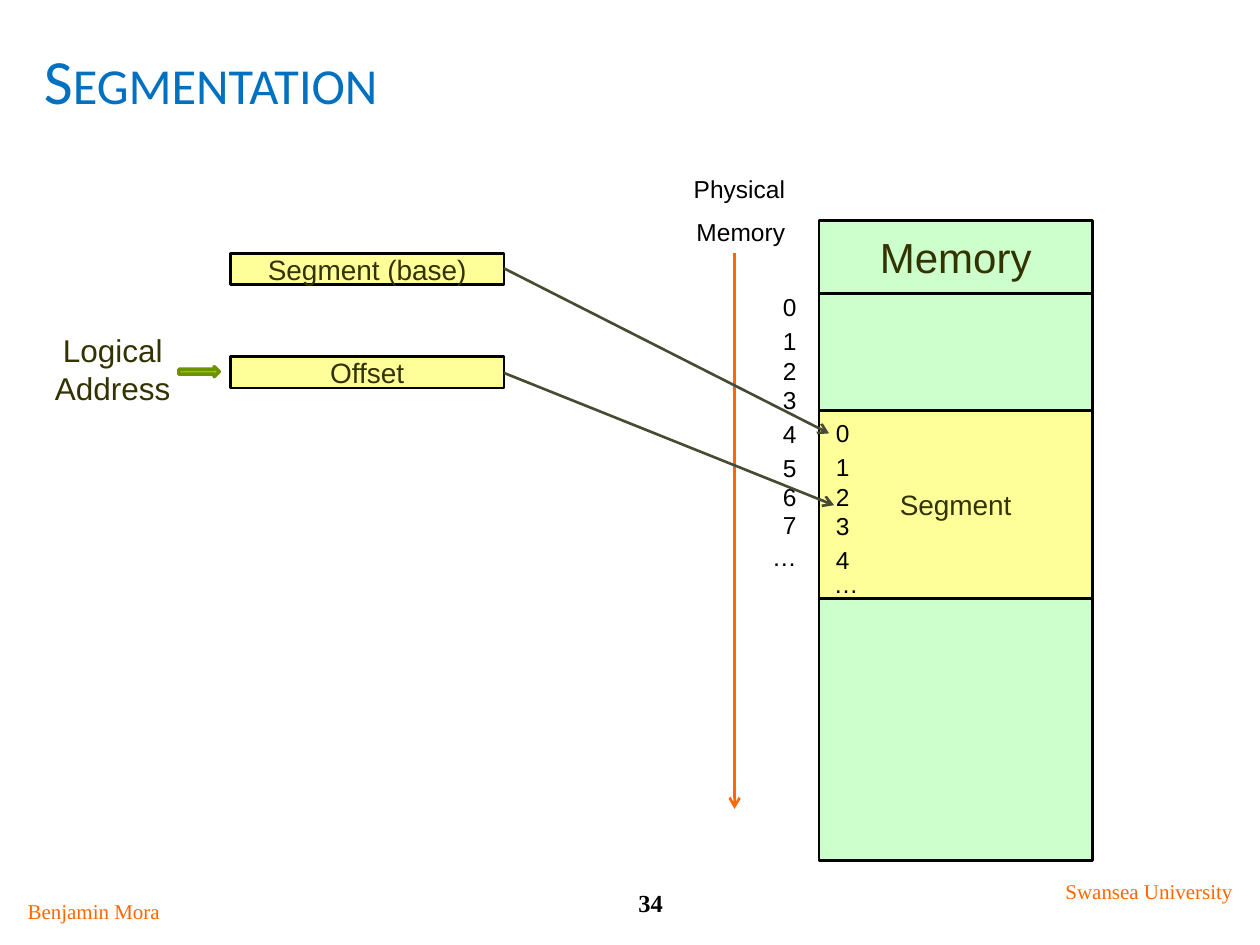
from lxml import etree
from pptx import Presentation
from pptx import util as u
from pptx.dml import color
from pptx.enum import shapes, text
from pptx.oxml import ns

STEPS = [0, 0.27, 0.51, 0.74, 1.01, 1.28, 1.51, 1.73, 1.98]
INK, GREEN, YELLOW, ORANGE = "333300", "CCFFCC", "FFFF99", "FF6600"
LEFT, CENTER, RIGHT = text.PP_ALIGN.LEFT, text.PP_ALIGN.CENTER, text.PP_ALIGN.RIGHT


def rgb(value):
    """Turn a hex string into a colour."""
    return color.RGBColor.from_string(value)


def place(box):
    """Turn a box in inches into lengths."""
    return [u.Inches(value) for value in box]


def write(shape, words, size=14, font="Arial", ink="000000", align=CENTER,
          bold=False, wrap=True, middle=False, before=0, small_caps=False):
    """Fill a shape with formatted paragraphs, one per line of words."""
    frame = shape.text_frame
    frame.word_wrap = wrap
    frame.vertical_anchor = text.MSO_ANCHOR.MIDDLE if middle else text.MSO_ANCHOR.TOP
    for index, line in enumerate(words.split("\n")):
        paragraph = frame.add_paragraph() if index else frame.paragraphs[0]
        paragraph.alignment = align
        paragraph.space_before = u.Pt(before)
        run = paragraph.add_run()
        run.text = line
        run.font.name, run.font.size, run.font.bold = font, u.Pt(size), bold
        run.font.color.rgb = rgb(ink)
        if small_caps:
            run.font._element.set("cap", "small")


def label(slide, box, words, **style):
    """Add a text box."""
    write(slide.shapes.add_textbox(*place(box)), words, **style)


def block(slide, box, fill, words="", size=16, kind=shapes.MSO_SHAPE.RECTANGLE,
          outline="000000", width=1.5):
    """Add a filled, outlined shape with an optional centred caption."""
    shape = slide.shapes.add_shape(kind, *place(box))
    shape.shadow.inherit = False
    shape.fill.solid()
    shape.fill.fore_color.rgb = rgb(fill)
    shape.line.color.rgb = rgb(outline)
    shape.line.width = u.Pt(width)
    if words:
        write(shape, words, size=size, ink=INK, wrap=False, middle=True)


def arrow(slide, start, end, ink):
    """Add a line with an open arrowhead at its end."""
    line = slide.shapes.add_connector(shapes.MSO_CONNECTOR.STRAIGHT, *place(start + end))
    line.line.color.rgb = rgb(ink)
    line.line.width = u.Pt(1.5)
    etree.SubElement(line.line._get_or_add_ln(), ns.qn("a:tailEnd"), type="arrow")
    etree.SubElement(line._element.spPr, ns.qn("a:effectLst"))


def addresses(slide, left, top, numbers):
    """Stack address labels downwards at the shared steps."""
    for number, step in zip(numbers, STEPS):
        label(slide, (left, top + step, 0.42, 0.33), number, align=RIGHT)


def memory_column(slide, left, top, width, height):
    """Draw the memory with its header, its segment and the segment's offsets."""
    header = 0.58
    block(slide, (left, top + header, width, height - header), GREEN)
    block(slide, (left, top, width, header), GREEN, "Memory", size=24)
    block(slide, (left, top + 1.51, width, 1.49), YELLOW, "Segment")
    addresses(slide, left - 0.08, top + 1.52, "01234")
    label(slide, (left - 0.01, top + 2.72, 0.42, 0.34), "…", align=RIGHT)


def physical_scale(slide, left, top, width, height):
    """Draw the physical memory heading, its downward arrow and its addresses."""
    axis = left + 1
    label(slide, (left, top, 1.5, 0.69), "Physical\nMemory", align=RIGHT, before=8)
    arrow(slide, (axis, top + 0.68), (axis, top + height), "FF6700")
    addresses(slide, left + width - 0.42, top + 0.94, "01234567…")


def logical_address(slide, left, top, width, height):
    """Draw the logical address and its two parts."""
    part_width, part_height = 2.17, 0.25
    part_left = left + width - part_width
    for words, part_top in (("Segment (base)", top), ("Offset", top + height - part_height)):
        block(slide, (part_left, part_top, part_width, part_height), YELLOW, words)
    label(slide, (left, top + 0.57, 1.13, 0.71), "Logical\nAddress",
          size=18, ink=INK, wrap=False)
    block(slide, (left + 1.09, top + 0.9, 0.32, 0.08), "94C600",
          kind=shapes.MSO_SHAPE.RIGHT_ARROW, outline="6D9200", width=2)


def footer(slide, left, top, width):
    """Write the author, the page number and the university."""
    style = dict(font="Times New Roman", size=12, ink=ORANGE)
    label(slide, (left, top + 0.16, 1.33, 0.3), "Benjamin Mora", **style)
    label(slide, (left + 4.42, top + 0.08, 1.33, 0.33), "34",
          font="Times New Roman", bold=True)
    label(slide, (left + width - 1.58, top, 1.58, 0.3), "Swansea University", **style)


def main():
    """Build the segmentation slide."""
    deck = Presentation()
    deck.slide_width, deck.slide_height = u.Inches(10), u.Inches(7.5)
    slide = deck.slides.add_slide(deck.slide_layouts[6])
    label(slide, (0.25, 0.17, 9.5, 0.92), "Segmentation", size=36, font="Calibri",
          ink="0070C0", align=LEFT, middle=True, small_caps=True)
    footer(slide, 0.08, 6.92, 9.83)
    memory_column(slide, 6.5, 1.75, 2.17, 5.08)
    logical_address(slide, 0.33, 2.01, 3.67, 1.07)
    physical_scale(slide, 4.83, 1.33, 1.59, 5.09)
    arrow(slide, (4, 2.13), (6.58, 3.44), "484A32")
    arrow(slide, (4, 2.96), (6.62, 4.01), "484A32")
    deck.save("out.pptx")


if __name__ == "__main__":
    main()
